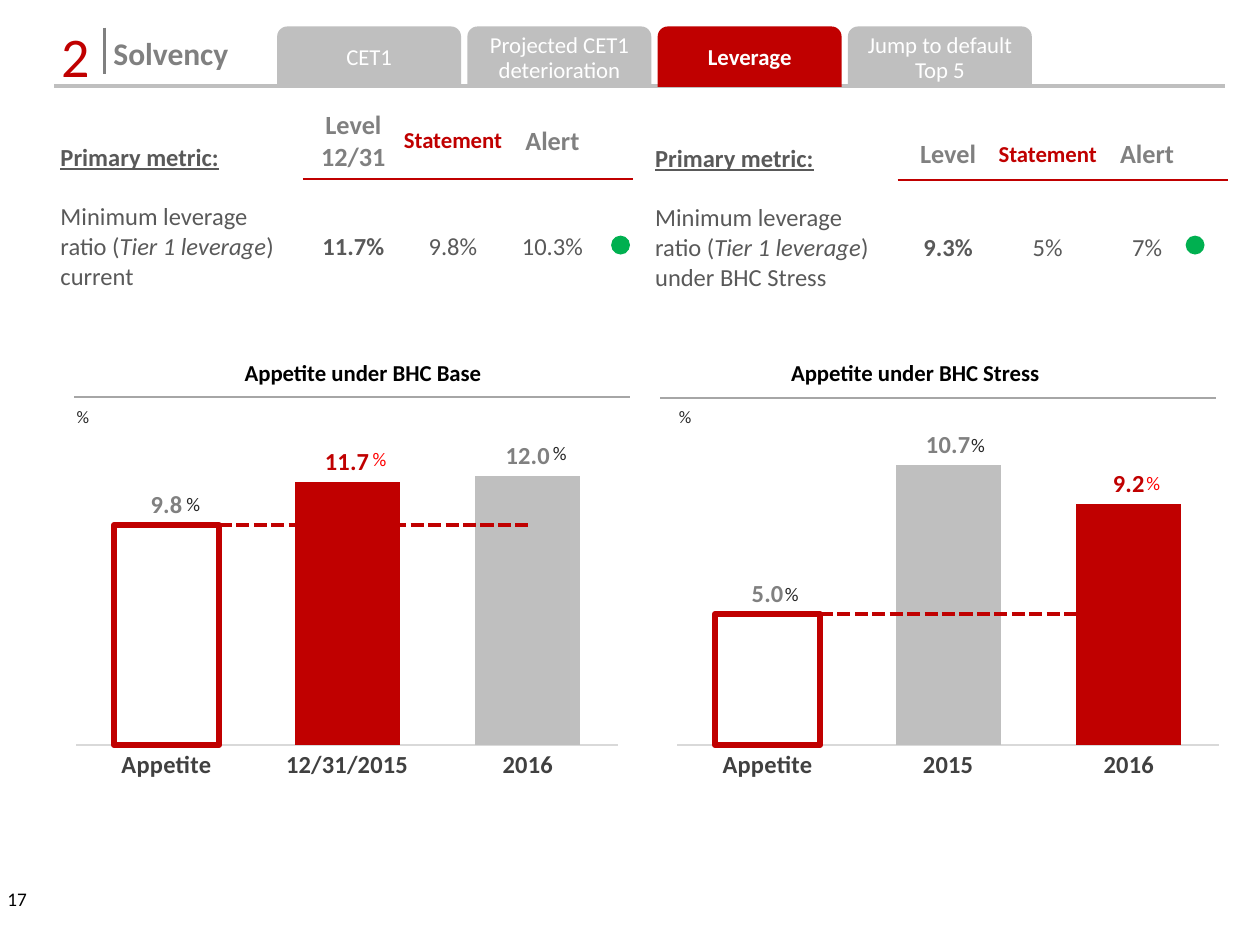
import pptx
import pptx.chart.data
import pptx.dml.color
import pptx.enum.chart
import pptx.enum.dml
import pptx.enum.shapes
import pptx.enum.text
import pptx.oxml.ns
import pptx.util
from lxml import etree

RGB = pptx.dml.color.RGBColor
RED = RGB(0xC0, 0x00, 0x00)
BRIGHT_RED = RGB(0xFF, 0x00, 0x00)
GREEN = RGB(0x00, 0xB0, 0x50)
OLIVE = RGB(0x9B, 0xBB, 0x59)
BLACK = RGB(0x00, 0x00, 0x00)
INK = RGB(0x26, 0x26, 0x26)
CHARCOAL = RGB(0x40, 0x40, 0x40)
BODY = RGB(0x59, 0x59, 0x59)
GRAY = RGB(0x80, 0x80, 0x80)
RULE = RGB(0xA6, 0xA6, 0xA6)
SILVER = RGB(0xBF, 0xBF, 0xBF)
PALE = RGB(0xD9, 0xD9, 0xD9)
WHITE = RGB(0xFF, 0xFF, 0xFF)

FONT = "Calibri"
COLUMNS, ROWS = 100, 75
CENTER = pptx.enum.text.PP_ALIGN.CENTER
TOP = pptx.enum.text.MSO_ANCHOR.TOP
MIDDLE = pptx.enum.text.MSO_ANCHOR.MIDDLE
BOTTOM = pptx.enum.text.MSO_ANCHOR.BOTTOM
qn = pptx.oxml.ns.qn


def set_font(font, size, color, bold=False):
    font.name, font.size, font.bold = FONT, pptx.util.Pt(size), bold
    font.color.rgb = color


def write(frame, text, size=14, color=BODY, bold=False, underline=None,
          align=None, spacing=None):
    """Fill a text frame; newlines split paragraphs, *stars* mark italics."""
    for number, line in enumerate(text.split("\n")):
        paragraph = frame.add_paragraph() if number else frame.paragraphs[0]
        paragraph.alignment = align
        if spacing:
            paragraph.line_spacing = pptx.util.Pt(spacing)
        for index, part in enumerate(line.split("*")):
            run = paragraph.add_run()
            run.text = part
            set_font(run.font, size, color, bold)
            run.font.underline = underline
            if index % 2:
                run.font.italic = True


def add_border(cell, side, color):
    line = etree.SubElement(cell._tc.get_or_add_tcPr(), qn(f"a:{side}"), w="12700")
    fill = etree.SubElement(line, qn("a:solidFill"))
    etree.SubElement(fill, qn("a:srgbClr"), val=str(color))


def set_plot_area(chart):
    area = chart._chartSpace.find(".//" + qn("c:plotArea"))
    for old in area.findall(qn("c:layout")):
        area.remove(old)
    layout = etree.Element(qn("c:layout"))
    manual = etree.SubElement(layout, qn("c:manualLayout"))
    for tag, value in (("layoutTarget", "inner"), ("xMode", "edge"), ("yMode", "edge"),
                       ("x", "0"), ("y", "0.04"), ("w", "0.99"), ("h", "0.84")):
        etree.SubElement(manual, qn(f"c:{tag}"), val=value)
    area.insert(0, layout)


def move_to_line_plot(chart):
    """Turn every series after the first into a line on the same axes."""
    bars = chart._chartSpace.find(".//" + qn("c:barChart"))
    lines = bars.makeelement(qn("c:lineChart"))
    etree.SubElement(lines, qn("c:grouping"), val="standard")
    etree.SubElement(lines, qn("c:varyColors"), val="0")
    for series in bars.findall(qn("c:ser"))[1:]:
        for bar_only in series.findall(qn("c:invertIfNegative")):
            series.remove(bar_only)
        lines.append(series)
    etree.SubElement(lines, qn("c:marker"), val="1")
    for axis in bars.findall(qn("c:axId")):
        etree.SubElement(lines, qn("c:axId"), val=str(axis.get("val")))
    bars.addnext(lines)


class Board:
    """The slide, measured on a grid of COLUMNS by ROWS."""

    def __init__(self, deck):
        self.column = deck.slide_width / COLUMNS
        self.row = deck.slide_height / ROWS
        self.slide = deck.slides.add_slide(deck.slide_layouts[5])
        self.shapes = self.slide.shapes

    def across(self, columns):
        return pptx.util.Emu(round(columns * self.column))

    def down(self, rows):
        return pptx.util.Emu(round(rows * self.row))

    def box(self, x, y, w, h):
        return self.across(x), self.down(y), self.across(w), self.down(h)

    def title(self, text, place, **style):
        title = self.shapes.title
        title.left, title.top, title.width, title.height = self.box(*place)
        title.text_frame.vertical_anchor = TOP
        write(title.text_frame, text, **style)

    def text(self, text, place, anchor=TOP, wrap=True, **style):
        frame = self.shapes.add_textbox(*self.box(*place)).text_frame
        frame.word_wrap, frame.vertical_anchor = wrap, anchor
        write(frame, text, **style)

    def line(self, x1, y1, x2, y2, color, width):
        line = self.shapes.add_connector(
            pptx.enum.shapes.MSO_CONNECTOR.STRAIGHT,
            self.across(x1), self.down(y1), self.across(x2), self.down(y2))
        line.line.color.rgb, line.line.width = color, pptx.util.Pt(width)
        etree.SubElement(line._element.spPr, qn("a:effectLst"))

    def shape(self, preset, place, color):
        shape = self.shapes.add_shape(preset, *self.box(*place))
        shape.shadow.inherit = False
        shape.fill.solid()
        shape.fill.fore_color.rgb = color
        shape.line.fill.background()
        return shape

    def tab(self, text, x, active):
        preset = pptx.enum.shapes.MSO_SHAPE.ROUND_2_SAME_RECTANGLE
        tab = self.shape(preset, (x, 2.1, 14.6, 4.8), RED if active else SILVER)
        tab.text_frame.word_wrap = False
        tab.text_frame.vertical_anchor = MIDDLE
        write(tab.text_frame, text, size=13, color=WHITE, bold=active,
              align=CENTER, spacing=14)

    def metric_table(self, x, y, header_rows, level, metric, values):
        heights = (header_rows, 10.8)
        widths = (19.7, 7.9, 7.9, 7.9, 2.4)
        table = self.shapes.add_table(2, 5, *self.box(x, y, sum(widths), sum(heights))).table
        table.first_row = table.horz_banding = False
        for row, height in zip(table.rows, heights):
            row.height = self.down(height)
        for column, width in zip(table.columns, widths):
            column.width = self.across(width)
        headers = (("Primary metric:", dict(bold=True, underline=True)),
                   (level, dict(size=15, color=GRAY, bold=True, align=CENTER)),
                   ("Statement", dict(size=13, color=RED, bold=True, align=CENTER)),
                   ("Alert", dict(size=15, color=GRAY, bold=True, align=CENTER)))
        figures = [(metric, {})] + [
            (value, dict(bold=index == 0, align=CENTER)) for index, value in enumerate(values)]
        for r, entries in enumerate((headers, figures)):
            for c in range(len(widths)):
                cell = table.cell(r, c)
                cell.vertical_anchor = MIDDLE if r or c else BOTTOM
                cell.margin_left = cell.margin_right = self.across(0 if c else 0.4)
                cell.margin_top = cell.margin_bottom = self.down(0.1 if r and c else 0.5)
                if c:
                    add_border(cell, "lnT" if r else "lnB", RED)
                cell.fill.background()
                if c < len(entries):
                    text, style = entries[c]
                    write(cell.text_frame, text, **style)

    def appetite_chart(self, x, categories, values, highlight, ceiling):
        data = pptx.chart.data.CategoryChartData()
        data.categories = categories
        data.add_series("Series 1", values)
        data.add_series("Series 2", values[:1] * len(values))
        data.add_series("Series 3", [None] * len(values))
        kinds = pptx.enum.chart
        chart = self.shapes.add_chart(kinds.XL_CHART_TYPE.COLUMN_CLUSTERED,
                                      *self.box(x, 33, 43.5, 29.7), data).chart
        set_font(chart.font, 7, BODY)
        chart.has_legend = chart.has_title = False
        plot = chart.plots[0]
        plot.gap_width, plot.vary_by_categories = 72, False

        axis = chart.category_axis
        axis.major_tick_mark = kinds.XL_TICK_MARK.NONE
        axis.format.line.color.rgb = PALE
        axis.format.line.width = pptx.util.Pt(0.75)
        set_font(axis.tick_labels.font, 14, CHARCOAL, bold=True)
        scale = chart.value_axis
        scale.minimum_scale, scale.maximum_scale = 0, ceiling
        scale.has_major_gridlines = scale.visible = False

        bars = plot.series[0]
        bars.format.fill.solid()
        bars.format.fill.fore_color.rgb = SILVER
        labels = bars.data_labels
        labels.show_value = True
        labels.position = kinds.XL_LABEL_POSITION.OUTSIDE_END
        labels.number_format, labels.number_format_is_linked = "#,##0.0", False
        set_font(labels.font, 14, GRAY, bold=True)
        appetite = bars.points[0].format
        appetite.fill.background()
        appetite.line.color.rgb, appetite.line.width = RED, pptx.util.Pt(3.5)
        current = bars.points[highlight]
        current.format.fill.solid()
        current.format.fill.fore_color.rgb = RED
        set_font(current.data_label.font, 14, RED, bold=True)
        current.data_label.position = kinds.XL_LABEL_POSITION.OUTSIDE_END

        move_to_line_plot(chart)
        for series, color in zip(chart.plots[1].series, (RED, OLIVE)):
            series.smooth = False
            series.marker.style = kinds.XL_MARKER_STYLE.NONE
            series.format.line.color.rgb = color
            series.format.line.width = pptx.util.Pt(2.5)
            series.format.line.dash_style = pptx.enum.dml.MSO_LINE.SQUARE_DOT
            for dash in series._element.iter(qn("a:prstDash")):
                dash.set("val", "sysDash")
        set_plot_area(chart)


def main():
    deck = pptx.Presentation()
    deck.slide_width, deck.slide_height = pptx.util.Inches(10), pptx.util.Inches(7.5)
    board = Board(deck)

    board.title("Solvency", (8, 3, 11.3, 3.4), size=18, color=GRAY, bold=True,
                align=pptx.enum.text.PP_ALIGN.LEFT, spacing=16)
    board.text("2", (3.9, 2.7, 3.9, 3.3), anchor=MIDDLE, size=32, color=RED, align=CENTER)
    board.line(8.3, 2.2, 8.3, 5.9, GRAY, 1.5)
    board.line(4.3, 6.8, 97.2, 6.8, SILVER, 2.25)
    tabs = ("CET1", "Projected CET1\ndeterioration", "Leverage", "Jump to default\nTop 5")
    for index, name in enumerate(tabs):
        board.tab(name, 22 + 15.1 * index, active=name == "Leverage")

    board.metric_table(4.4, 8.2, 6, "Level\n12/31",
                       "Minimum leverage ratio (*Tier 1 leverage*) current",
                       ("11.7%", "9.8%", "10.3%"))
    board.metric_table(51.6, 10.3, 3.9, "Level",
                       "Minimum leverage ratio (*Tier 1 leverage*) under BHC Stress",
                       ("9.3%", "5%", "7%"))
    for status_x in (48.5, 94.1):
        board.shape(pptx.enum.shapes.MSO_SHAPE.OVAL, (status_x, 18.7, 1.5, 1.5), GREEN)

    board.text("Appetite under BHC Base", (9.1, 28, 39.4, 3.2), size=13, color=BLACK,
               bold=True, align=CENTER)
    board.text("Appetite under BHC Stress", (61.8, 28, 33.9, 3.2), size=13, color=BLACK, bold=True)
    board.line(5.9, 31.5, 50, 31.5, RULE, 0.75)
    board.line(52.4, 31.6, 96.5, 31.6, RULE, 0.75)
    board.appetite_chart(6, ("Appetite", "12/31/2015", "2016"), (9.8, 11.7, 12), 1, 14)
    board.appetite_chart(53.7, ("Appetite", "2015", "2016"), (5, 10.7, 9.2), 2, 12)
    for unit_x in (5.1, 52.9):
        board.text("%", (unit_x, 31.7, 20.4, 2.7), size=10, color=INK)
    percent_signs = ((13.8, 38.6, INK), (28.6, 35, BRIGHT_RED), (42.9, 34.5, INK),
                     (61.3, 45.7, INK), (76.1, 33.9, INK), (90, 36.9, BRIGHT_RED))
    for x, y, color in percent_signs:
        board.text("%", (x, y, 3.1, 2.9), wrap=False, size=11, color=color)

    board.text("17", (-0.4, 69.9, 4.9, 4), size=11, color=BLACK)
    deck.save("out.pptx")


if __name__ == "__main__":
    main()
